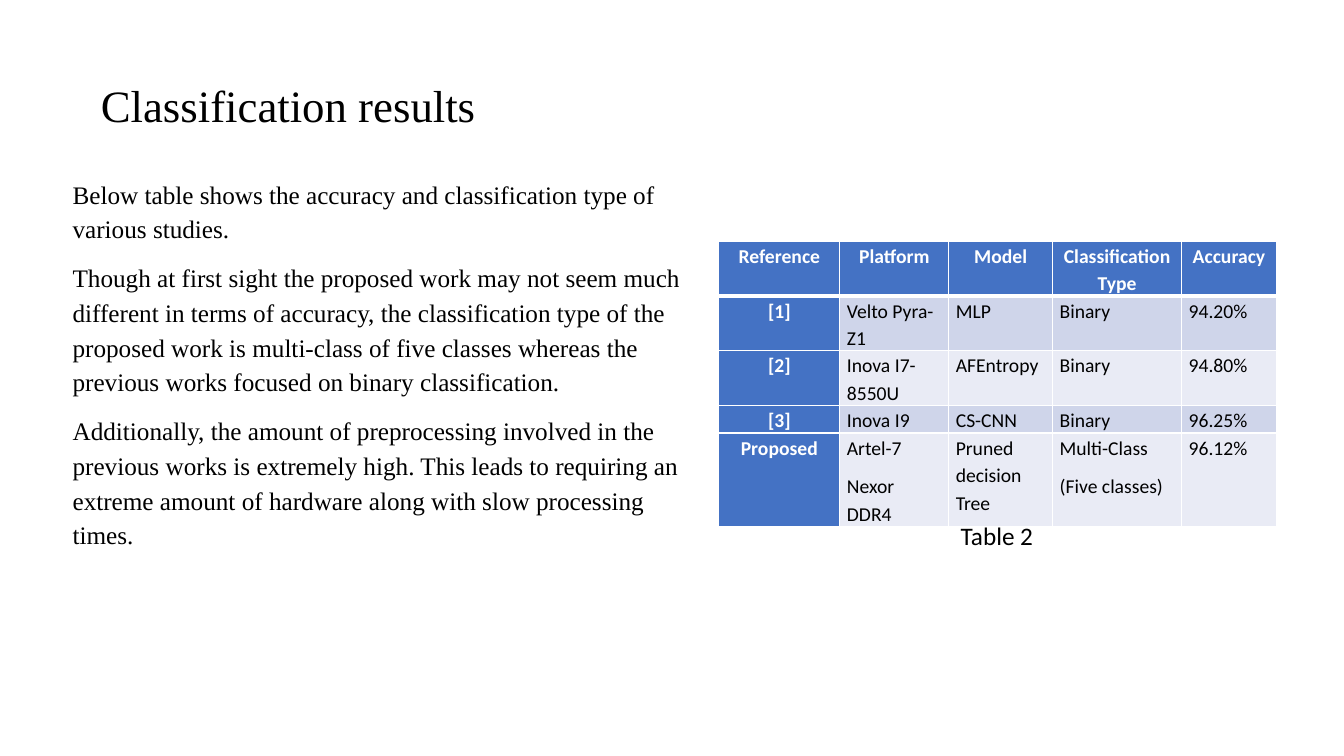
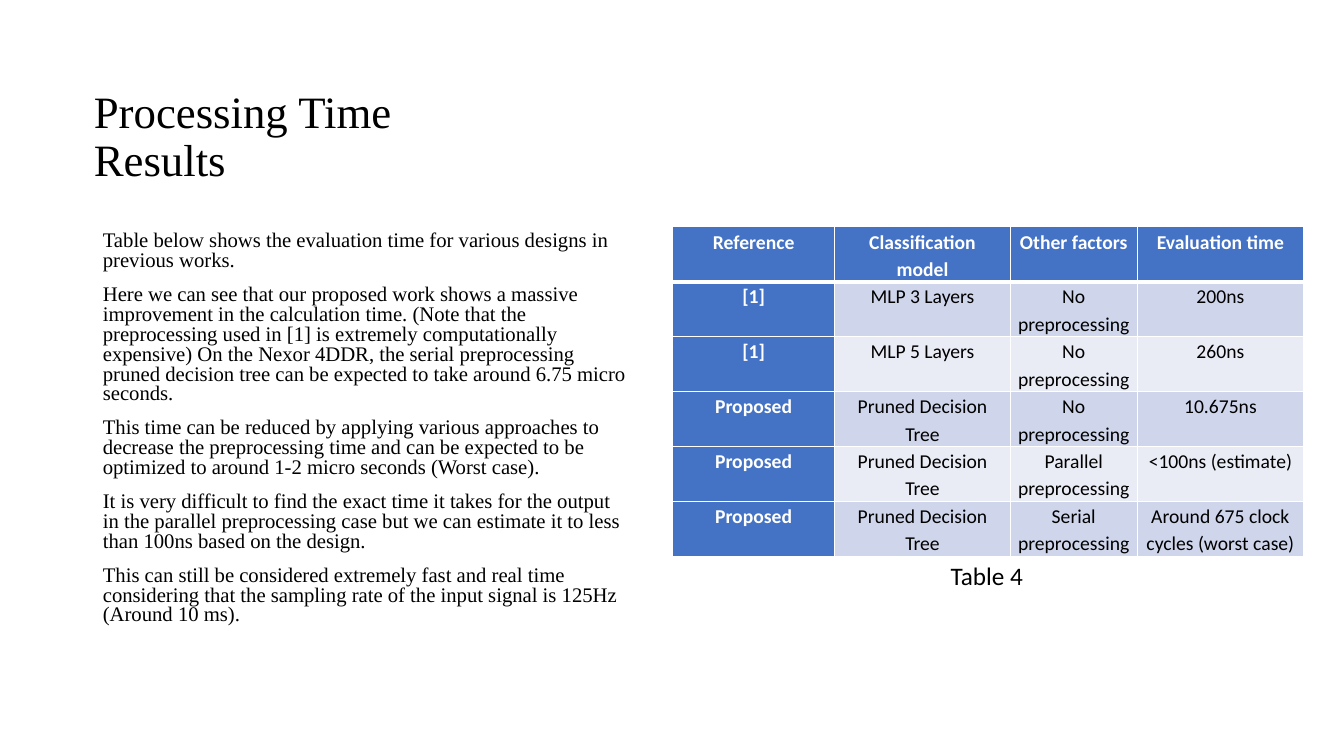
from lxml.etree import SubElement
from pptx import Presentation
from pptx.dml.color import RGBColor
from pptx.enum.text import MSO_ANCHOR, MSO_AUTO_SIZE, PP_ALIGN
from pptx.oxml.ns import qn
from pptx.util import Inches, Pt

BLACK = RGBColor(0x00, 0x00, 0x00)
WHITE = RGBColor(0xFF, 0xFF, 0xFF)
HEADER_BLUE = RGBColor(0x44, 0x72, 0xC4)
BANDS = (RGBColor(0xCF, 0xD5, 0xEA), RGBColor(0xE9, 0xEB, 0xF5))
SERIF = "Times New Roman"
SANS = "Calibri"


class ResultsDeck:
    """Shared style plus the slide being built."""

    def __init__(self):
        self.prs = Presentation()
        self.prs.slide_width = Inches(13.33)
        self.prs.slide_height = Inches(7.5)
        self.slide = None

    def new_slide(self):
        self.slide = self.prs.slides.add_slide(self.prs.slide_layouts[1])

    @staticmethod
    def place(shape, box):
        shape.left, shape.top, shape.width, shape.height = map(Inches, box)

    @staticmethod
    def add_text(paragraph, text, size, font, color=BLACK, bold=False):
        run = paragraph.add_run()
        run.text = text
        run.font.size = Pt(size)
        run.font.name = font
        run.font.bold = bold
        run.font.color.rgb = color

    @staticmethod
    def paragraphs(frame, texts):
        """Yield a paragraph for each text, starting with the existing one."""
        for index, text in enumerate(texts):
            yield (frame.add_paragraph() if index else frame.paragraphs[0]), text

    def title(self, text, box):
        heading = self.slide.shapes.title
        self.place(heading, box)
        frame = heading.text_frame
        frame.auto_size = MSO_AUTO_SIZE.NONE
        frame.vertical_anchor = MSO_ANCHOR.BOTTOM
        line = frame.paragraphs[0]
        line.alignment = PP_ALIGN.LEFT
        line.line_spacing = 0.9
        self.add_text(line, text, 32, SERIF)

    def body(self, texts, box, size, spacing, indent=0):
        discussion = self.slide.placeholders[1]
        self.place(discussion, box)
        frame = discussion.text_frame
        frame.auto_size = MSO_AUTO_SIZE.NONE
        for index, (para, text) in enumerate(self.paragraphs(frame, texts)):
            props = para._p.get_or_add_pPr()
            props.set("marL", str(Inches(indent)))
            props.set("indent", "0")
            SubElement(props, qn("a:buNone"))
            para.line_spacing = spacing
            para.space_before = Pt(10 if index else 0)
            self.add_text(para, text, size, SERIF)

    @staticmethod
    def borders(cell, row):
        """White rules, thicker between the header and the first data row."""
        top, bottom = (3 if row == 1 else 1), (3 if row == 0 else 1)
        props = cell._tc.get_or_add_tcPr()
        for side, width in (("L", 1), ("R", 1), ("T", top), ("B", bottom)):
            line = SubElement(props, qn(f"a:ln{side}"), w=str(Pt(width)))
            fill = SubElement(line, qn("a:solidFill"))
            SubElement(fill, qn("a:srgbClr"), val=str(WHITE))

    def table(self, rows, left, top, widths, heights, data_align):
        grid = self.slide.shapes.add_table(
            len(rows), len(widths), Inches(left), Inches(top),
            Inches(sum(widths)), Inches(sum(heights))).table
        for column, width in zip(grid.columns, widths):
            column.width = Inches(width)
        for grid_row, height in zip(grid.rows, heights):
            grid_row.height = Inches(height)
        for r, values in enumerate(rows):
            for c, value in enumerate(values):
                self.cell(grid.cell(r, c), value, r, c, data_align)

    def cell(self, cell, value, row, column, data_align):
        label = row == 0 or column == 0
        self.borders(cell, row)
        cell.fill.solid()
        cell.fill.fore_color.rgb = HEADER_BLUE if label else BANDS[(row - 1) % 2]
        cell.margin_left = cell.margin_right = Inches(0.07)
        cell.margin_top = cell.margin_bottom = 0
        for para, text in self.paragraphs(cell.text_frame, value.split("\n")):
            para.alignment = PP_ALIGN.CENTER if label else data_align
            para.line_spacing = 1.15
            para.space_after = Pt(8)
            self.add_text(para, text, 14, SANS, WHITE if label else BLACK, label)

    def caption(self, text, left, top):
        box = self.slide.shapes.add_textbox(
            Inches(left), Inches(top), Inches(0.93), Inches(0.4))
        box.text_frame.word_wrap = False
        box.text_frame.auto_size = MSO_AUTO_SIZE.SHAPE_TO_FIT_TEXT
        self.add_text(box.text_frame.paragraphs[0], text, 18, SANS)


ACCURACY_TEXT = [
    "Below table shows the accuracy and classification type of various studies.",
    "Though at first sight the proposed work may not seem much different in terms "
    "of accuracy, the classification type of the proposed work is multi-class of "
    "five classes whereas the previous works focused on binary classification.",
    "Additionally, the amount of preprocessing involved in the previous works is "
    "extremely high. This leads to requiring an extreme amount of hardware along "
    "with slow processing times.",
]
ACCURACY_ROWS = [
    ("Reference", "Platform", "Model", "Classification Type", "Accuracy"),
    ("[1]", "Velto Pyra-Z1", "MLP", "Binary", "94.20%"),
    ("[2]", "Inova I7-8550U", "AFEntropy", "Binary", "94.80%"),
    ("[3]", "Inova I9", "CS-CNN", "Binary", "96.25%"),
    ("Proposed", "Artel-7\nNexor DDR4", "Pruned decision Tree",
     "Multi-Class\n(Five classes)", "96.12%"),
]
TIMING_TEXT = [
    "Table below shows the evaluation time for various designs in previous works.",
    "Here we can see that our proposed work shows a massive improvement in the "
    "calculation time. (Note that the preprocessing used in [1] is extremely "
    "computationally expensive) On the Nexor 4DDR, the serial preprocessing pruned "
    "decision tree can be expected to take around 6.75 micro seconds.",
    "This time can be reduced by applying various approaches to decrease the "
    "preprocessing time and can be expected to be optimized to around 1-2 micro "
    "seconds (Worst case).",
    "It is very difficult to find the exact time it takes for the output in the "
    "parallel preprocessing case but we can estimate it to less than 100ns based "
    "on the design.",
    "This can still be considered extremely fast and real time considering that "
    "the sampling rate of the input signal is 125Hz (Around 10 ms).",
]
TIMING_ROWS = [
    ("Reference", "Classification model", "Other factors", "Evaluation time"),
    ("[1]", "MLP 3 Layers", "No preprocessing", "200ns"),
    ("[1]", "MLP 5 Layers", "No preprocessing", "260ns"),
    ("Proposed", "Pruned Decision Tree", "No preprocessing", "10.675ns"),
    ("Proposed", "Pruned Decision Tree", "Parallel preprocessing",
     "<100ns (estimate)"),
    ("Proposed", "Pruned Decision Tree", "Serial preprocessing",
     "Around 675 clock cycles (worst case)"),
]


def main():
    deck = ResultsDeck()

    # Classification accuracy
    deck.new_slide()
    deck.title("Classification results", (0.9, 0.24, 5.38, 1.12))
    deck.body(ACCURACY_TEXT, (0.12, 1.68, 7.01, 5.2), 18, 1.15, indent=0.5)
    deck.table(ACCURACY_ROWS, 7.13, 2.39, (1.2, 1.08, 1.03, 1.28, 0.94),
               (0.54, 0.54, 0.54, 0.27, 0.92), PP_ALIGN.LEFT)
    deck.caption("Table 2", 9.43, 5.11)

    # Processing time
    deck.new_slide()
    deck.title("Processing Time Results", (0.83, 0.62, 4.47, 1.28))
    deck.body(TIMING_TEXT, (0.92, 2.25, 5.39, 4.35), 14.8, 0.8)
    deck.table(TIMING_ROWS, 6.67, 2.25, (1.61, 1.74, 1.26, 1.65),
               (0.54,) * len(TIMING_ROWS), PP_ALIGN.CENTER)
    deck.caption("Table 4", 9.33, 5.51)

    deck.prs.save("out.pptx")


if __name__ == "__main__":
    main()
